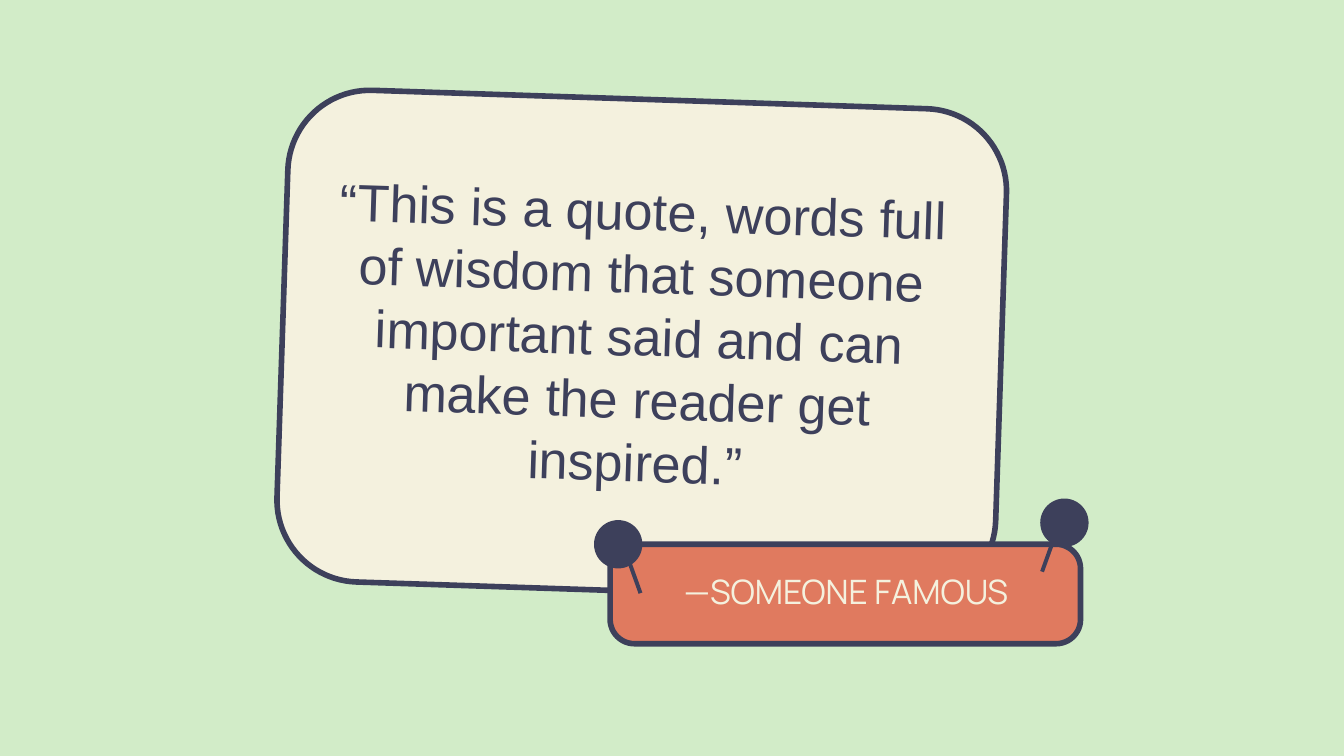
import pptx
import pptx.dml.color
import pptx.enum.shapes
import pptx.enum.text
import pptx.util

Inches, Pt = pptx.util.Inches, pptx.util.Pt
KINDS = pptx.enum.shapes.MSO_SHAPE
ANCHORS = pptx.enum.text.MSO_ANCHOR

NAVY, CREAM, CORAL, MINT = "3D405B", "F4F1DE", "E07A5F", "D2ECC8"
TILT = 1.9
QUOTE = ("“This is a quote, words full of wisdom that someone important "
         "said and can make the reader get inspired.”")
AUTHOR = "—SOMEONE FAMOUS"
CARD_BOX = (2.1, 0.74, 5.35, 3.66)
QUOTE_BOX = (2.38, 1.33, 4.75, 2.46)
LABEL_BOX = (4.54, 4.05, 3.5, 0.74)
AUTHOR_BOX = (4.6, 4.2, 3.39, 0.4)
PINS = [(7.74, 3.71, 0.09, 19.8), (4.42, 3.87, 0.24, -19.8)]
HEAD_SIZE, NEEDLE_WIDTH, NEEDLE_LENGTH = 0.36, 0.03, 0.54


def color(hex_value):
    return pptx.dml.color.RGBColor.from_string(hex_value)


def draw(shapes, kind, box, fill, outline=None, corner=None, rotation=0):
    shape = shapes.add_shape(kind, *map(Inches, box))
    shape.shadow.inherit = False
    shape.rotation = rotation
    shape.fill.solid()
    shape.fill.fore_color.rgb = color(fill)
    if outline:
        shape.line.color.rgb = color(outline)
        shape.line.width = Pt(3)
    else:
        shape.line.fill.background()
    if corner:
        shape.adjustments[0] = corner


def write(shape, text, font, ink, anchor):
    frame = shape.text_frame
    frame.text = text
    frame_format = {
        "word_wrap": True, "vertical_anchor": anchor,
        "auto_size": pptx.enum.text.MSO_AUTO_SIZE.NONE,
        "margin_left": 0, "margin_top": 0, "margin_right": 0, "margin_bottom": 0,
    }
    for name, value in frame_format.items():
        setattr(frame, name, value)
    paragraph = frame.paragraphs[0]
    paragraph.alignment = pptx.enum.text.PP_ALIGN.CENTER
    paragraph.line_spacing = 1.0
    paragraph.space_before = Pt(0)
    for name, value in font.items():
        setattr(paragraph.runs[0].font, name, value)
    paragraph.runs[0].font.color.rgb = color(ink)


deck = pptx.Presentation()
deck.slide_width = Inches(10)
deck.slide_height = deck.slide_width * 9 // 16
slide = deck.slides.add_slide(deck.slide_layouts[5])
slide.background.fill.solid()
slide.background.fill.fore_color.rgb = color(MINT)

draw(slide.shapes, KINDS.ROUNDED_RECTANGLE, CARD_BOX, CREAM, NAVY, 0.167, TILT)

label = slide.shapes.add_group_shape()
draw(label.shapes, KINDS.ROUNDED_RECTANGLE, LABEL_BOX, CORAL, NAVY, 0.245)
for left, top, needle_shift, lean in PINS:
    needle_box = (left + needle_shift, top + 0.02, NEEDLE_WIDTH, NEEDLE_LENGTH)
    draw(label.shapes, KINDS.RECTANGLE, needle_box, NAVY, rotation=lean)
    draw(label.shapes, KINDS.OVAL, (left, top, HEAD_SIZE, HEAD_SIZE), NAVY)

quote = slide.shapes.add_textbox(*map(Inches, QUOTE_BOX))
quote.rotation = TILT
write(quote, QUOTE, {"name": "Arial", "size": Pt(28)}, NAVY, ANCHORS.TOP)

author = slide.shapes.title
for side, length in zip(("left", "top", "width", "height"), AUTHOR_BOX):
    setattr(author, side, Inches(length))
write(author, AUTHOR, {"name": "Manrope", "size": Pt(18)}, CREAM, ANCHORS.MIDDLE)
author.element.getparent().append(author.element)

deck.save("out.pptx")
